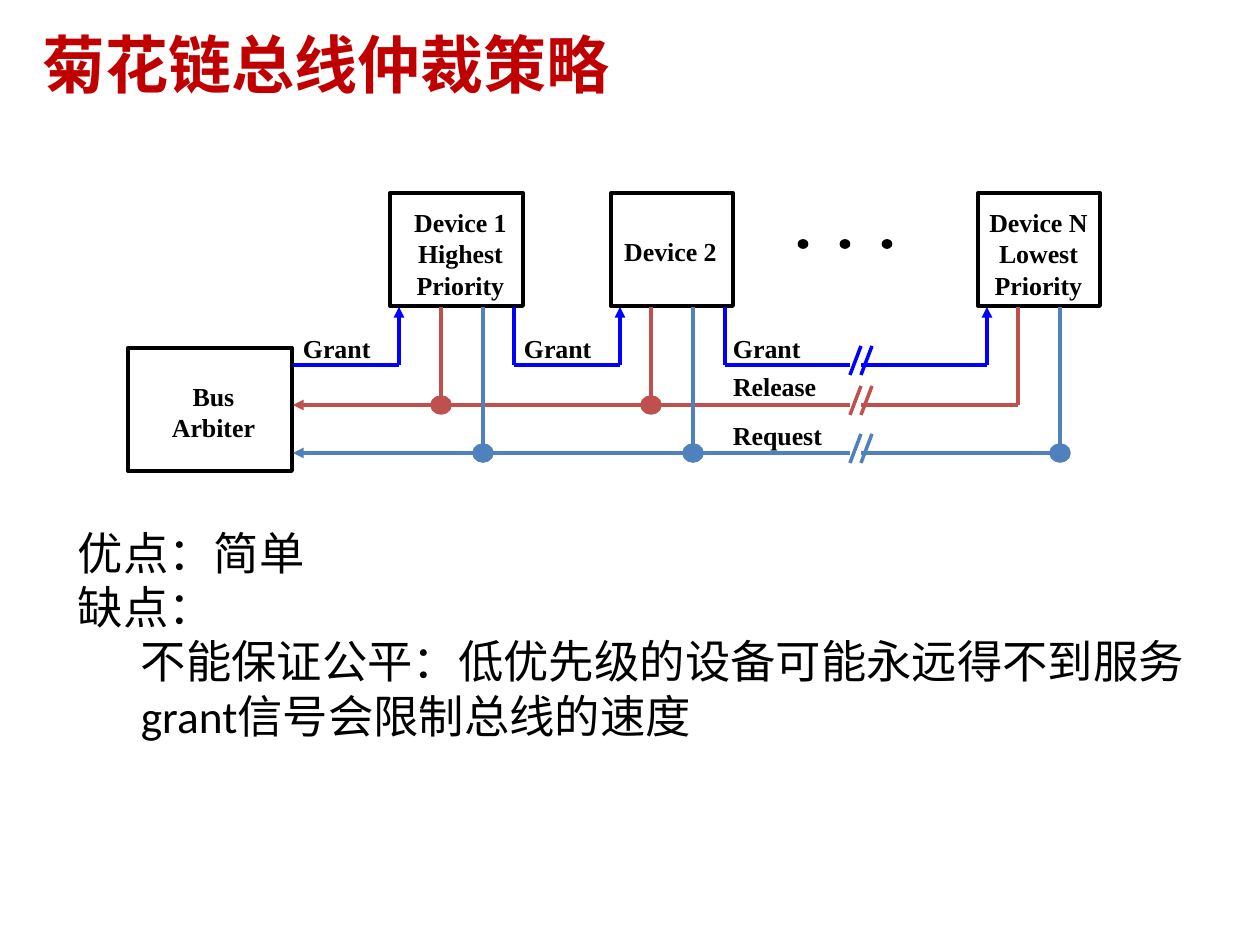
from lxml import etree
from pptx import Presentation
from pptx.dml.color import RGBColor
from pptx.enum.shapes import MSO_CONNECTOR, MSO_SHAPE
from pptx.enum.text import PP_ALIGN
from pptx.oxml.ns import qn
from pptx.util import Emu, Pt

EMU_PER_PX = 914400 / 126
COLORS = {
    "title": "C00000",
    "black": "000000",
    "grant": "0000FF",
    "release": "C0504D",
    "request": "4F81BD",
}
CJK_FONT = "Noto Sans CJK SC"
LABEL_FONT = "Times New Roman"


def px(length):
    return Emu(round(length * EMU_PER_PX))


def color(name):
    return RGBColor.from_string(COLORS[name])


class Sketch:
    """Current slide plus the line and label style of the diagram."""

    line_width = Pt(2)
    label_size = 14.8

    def __init__(self, page):
        self.page = page

    def text(self, x, y, w, h, lines, size, font, ink="black", bold=False,
             align=PP_ALIGN.LEFT, insets=(0, 0), wrap=True, spacing=None):
        """Each line is a (text, left indent) pair."""
        box = self.page.shapes.add_textbox(px(x), px(y), px(w), px(h))
        frame = box.text_frame
        frame.word_wrap = wrap
        frame.margin_left = frame.margin_right = px(insets[0])
        frame.margin_top = px(insets[1])
        frame.margin_bottom = 0
        for i, (words, indent) in enumerate(lines):
            para = frame.add_paragraph() if i else frame.paragraphs[0]
            para.alignment = align
            if spacing:
                para.line_spacing = spacing
            if indent:
                props = para._p.get_or_add_pPr()
                props.set("marL", str(px(indent)))
                props.set("indent", "0")
            span = para.add_run()
            span.text = words
            span.font.size = Pt(size)
            span.font.bold = bold
            span.font.name = font
            span.font.color.rgb = color(ink)
            east_asian = etree.SubElement(span.font._element, qn("a:ea"))
            east_asian.set("typeface", CJK_FONT)

    def label(self, x, y, w, h, lines, align=PP_ALIGN.CENTER, wrap=True):
        self.text(x, y, w, h, [(words, 0) for words in lines], self.label_size,
                  LABEL_FONT, bold=True, align=align, insets=(11, 5), wrap=wrap)

    def shape(self, kind, x, y, w, h, ink, filled, width=None):
        shape = self.page.shapes.add_shape(kind, px(x), px(y), px(w), px(h))
        shape.shadow.inherit = False
        if filled:
            shape.fill.solid()
            shape.fill.fore_color.rgb = color(ink)
        else:
            shape.fill.background()
        shape.line.color.rgb = color(ink)
        shape.line.width = width or self.line_width

    def box(self, x, y, w, h):
        self.shape(MSO_SHAPE.RECTANGLE, x, y, w, h, "black", False, Pt(2.25))

    def dot(self, x, y, w, h, ink, width=None):
        """Filled ellipse centred on (x, y)."""
        self.shape(MSO_SHAPE.OVAL, x - w / 2, y - h / 2, w, h, ink, True, width)

    def line(self, x1, y1, x2, y2, ink, arrow=None):
        wire = self.page.shapes.add_connector(
            MSO_CONNECTOR.STRAIGHT, px(x1), px(y1), px(x2), px(y2))
        wire.line.color.rgb = color(ink)
        wire.line.width = self.line_width
        if arrow:
            etree.SubElement(wire.line._get_or_add_ln(), qn(f"a:{arrow}"),
                             type="triangle")
        etree.SubElement(wire._element.spPr, qn("a:effectLst"))


deck = Presentation()
deck.slide_width, deck.slide_height = px(1260), px(945)
sketch = Sketch(deck.slides.add_slide(deck.slide_layouts[6]))

# Title and remarks
sketch.text(42, 34, 661, 81, [("菊花链总线仲裁策略", 0)], 36, CJK_FONT,
            ink="title", bold=True, spacing=0.9)
sketch.text(78, 520, 1182, 335, [
    ("优点：简单", 0),
    ("缺点：", 0),
    ("不能保证公平：低优先级的设备可能永远得不到服务", 63),
    ("grant信号会限制总线的速度", 63),
], 25.9, "Calibri", insets=(0, 5), spacing=Pt(31))

# Bus arbiter
sketch.box(128, 348, 164, 123)
sketch.label(160, 376, 107, 74, ["Bus", "Arbiter"], wrap=False)

# Devices: box left and width, label left, top and width, lines
DEVICES = [
    (390, 133, 397, 202, 127, ["Device 1", "Highest", "Priority"]),
    (611, 122, 607, 231, 127, ["Device 2"]),
    (978, 122, 964, 202, 149, ["Device N", "Lowest", "Priority"]),
]
for left, width, label_left, label_top, label_width, lines in DEVICES:
    sketch.box(left, 193, width, 113)
    sketch.label(label_left, label_top, label_width, 12 + 31 * len(lines), lines)

# Dots for the devices left out
for i in range(3):
    sketch.dot(803 + 42 * i, 244, 9, 8, "black", Pt(1))

# Bus wires: height of each, and the gap where they are cut
BUS_START, DEVICE_FOOT = 293, 307
CUT_LEFT, CUT_RIGHT = 850, 861
LEVELS = {"grant": 365, "release": 405, "request": 453}

# Grant chain: each hop runs from one unit up into the next device
for start, end in [(BUS_START, 399), (514, 620), (725, 987)]:
    level = LEVELS["grant"]
    if start != BUS_START:
        sketch.line(start, level, start, DEVICE_FOOT, "grant")
    if start < CUT_LEFT < end:
        sketch.line(start, level, CUT_LEFT, level, "grant")
        sketch.line(CUT_RIGHT, level, end, level, "grant")
    else:
        sketch.line(start, level, end, level, "grant")
    sketch.line(end, level, end, DEVICE_FOOT, "grant", arrow="tailEnd")

# Shared lines: taps from the devices, joined by dots
TAPS = {"release": [441, 651, 1018], "request": [483, 693, 1060]}
for signal, taps in TAPS.items():
    level = LEVELS[signal]
    sketch.line(BUS_START, level, CUT_LEFT, level, signal, arrow="headEnd")
    sketch.line(CUT_RIGHT, level, taps[-1], level, signal)
    for tap in taps:
        sketch.line(tap, DEVICE_FOOT, tap, level, signal)
    joints = taps[:-1] if signal == "release" else taps
    for joint in joints:
        sketch.dot(joint, level, 18, 16, signal)

# Cut marks
for signal, level in LEVELS.items():
    for x in (CUT_LEFT, CUT_RIGHT):
        sketch.line(x, level + 10, x + 11, level - 19, signal)

# Signal names
for words, x, y, width in [
    ("Grant", 292, 328, 91),
    ("Grant", 513, 328, 91),
    ("Grant", 722, 328, 91),
    ("Release", 722, 366, 107),
    ("Request", 722, 415, 113),
]:
    sketch.label(x, y, width, 43, [words], align=PP_ALIGN.LEFT, wrap=False)

deck.save("out.pptx")
